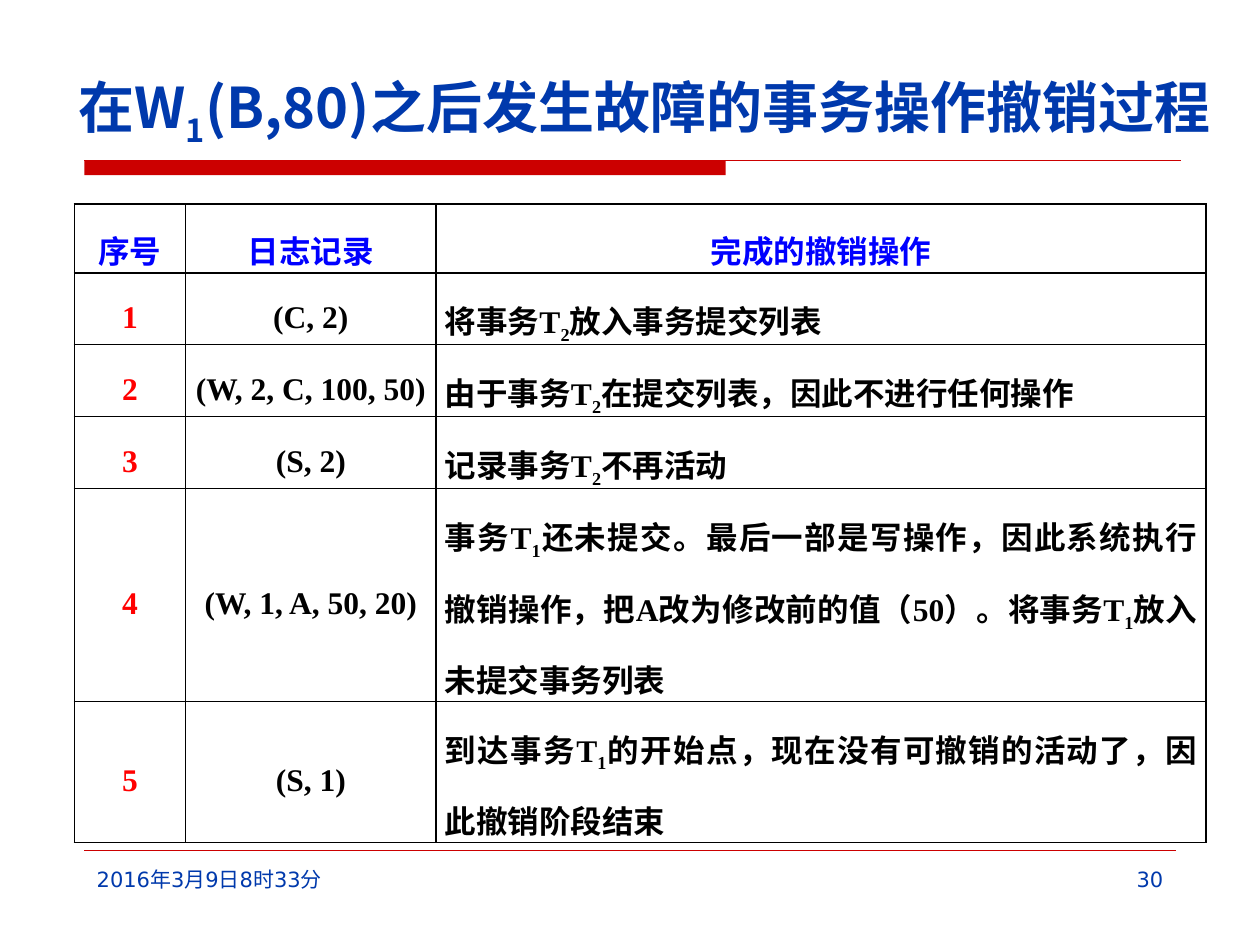
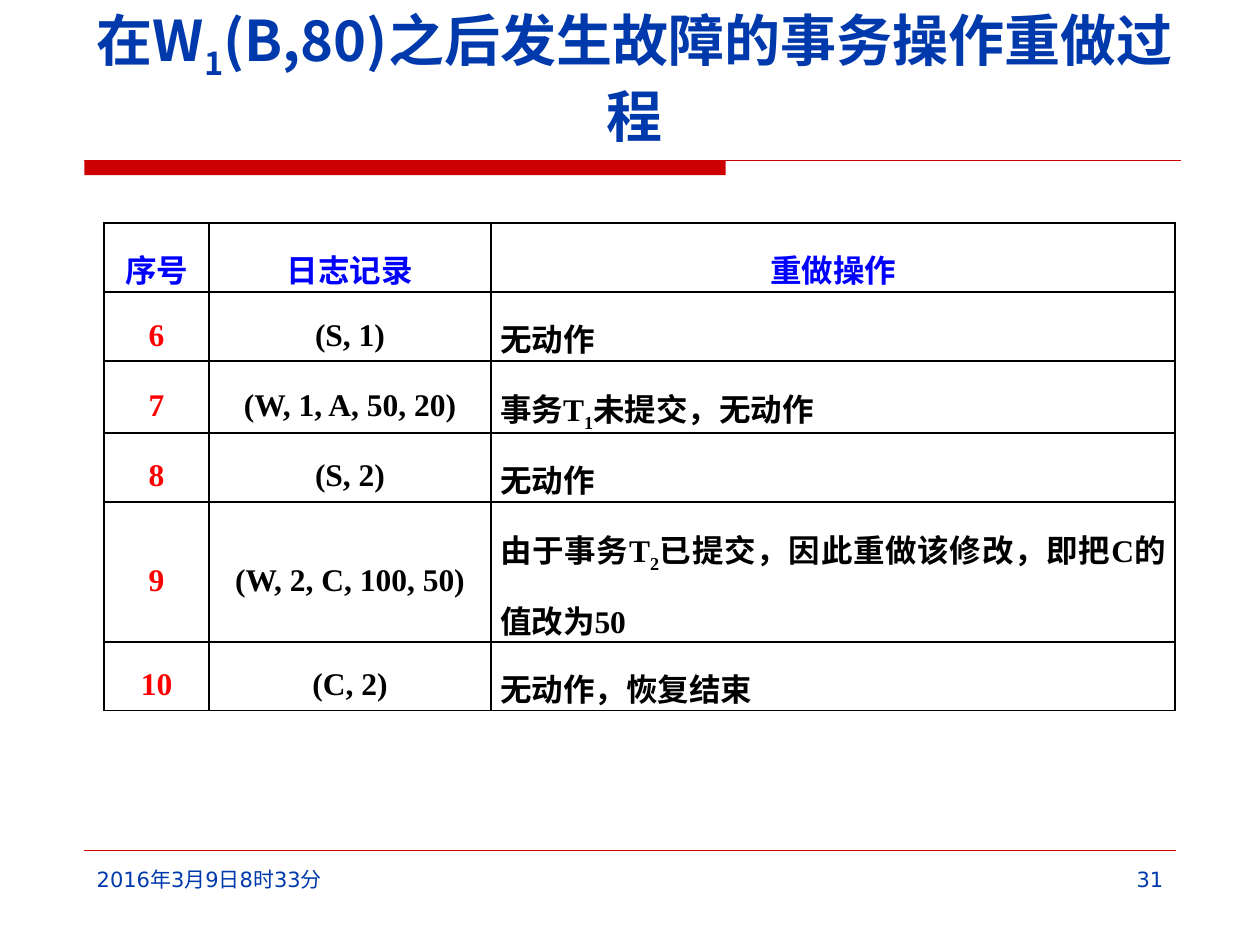
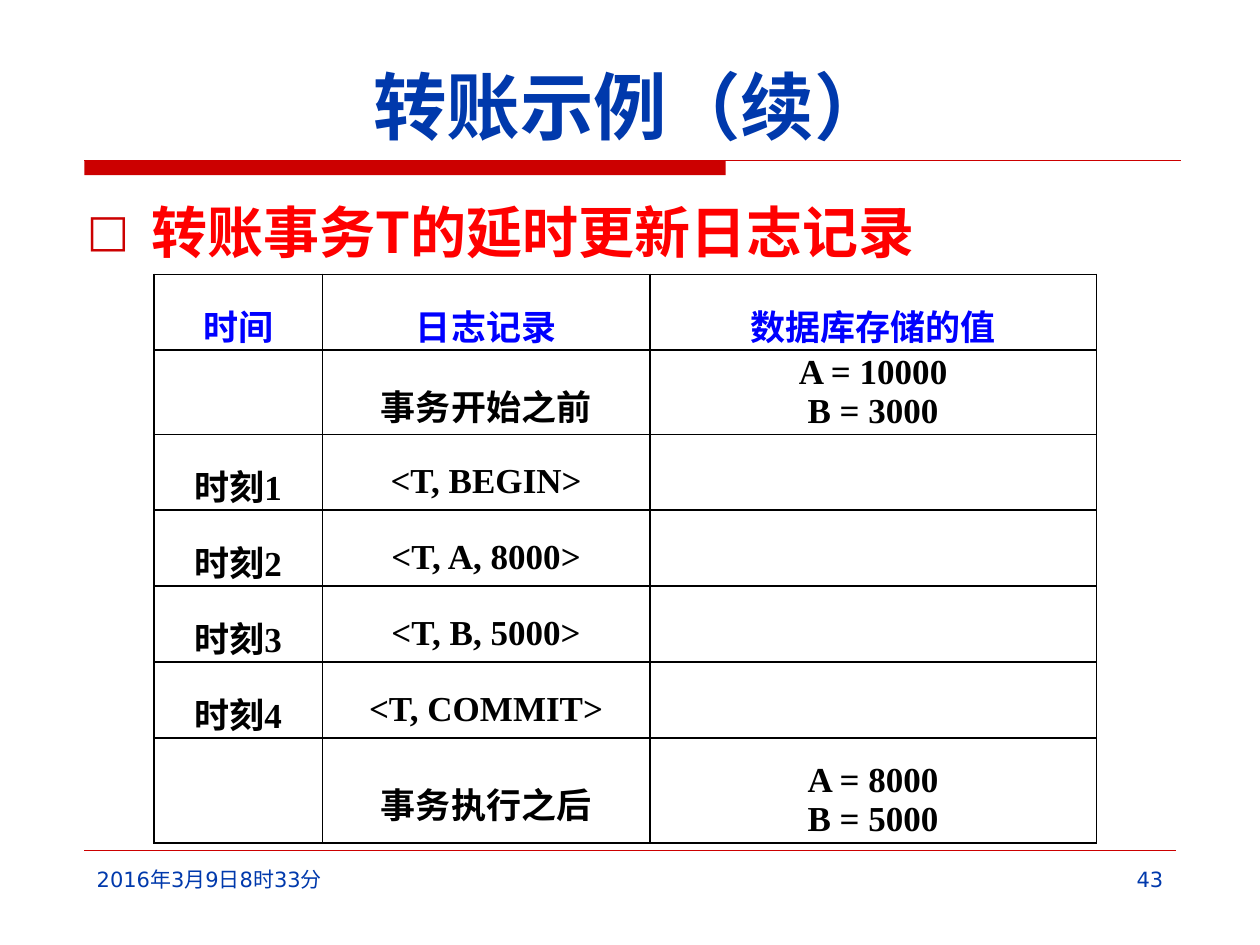
import collections
import dataclasses

import lxml.etree
import pptx
import pptx.dml.color
import pptx.enum.shapes
import pptx.enum.text
import pptx.oxml.ns
import pptx.util

Cm = pptx.util.Cm
Align = pptx.enum.text.PP_ALIGN
Anchor = pptx.enum.text.MSO_ANCHOR
Box = collections.namedtuple("Box", "left top width height")


@dataclasses.dataclass(frozen=True)
class Theme:
    """Colours, fonts and type sizes shared by all slides."""
    navy: str = "0039AC"
    crimson: str = "CC0000"
    red: str = "FF0000"
    blue: str = "0000FF"
    black: str = "000000"
    white: str = "FFFFFF"
    heading_face: str = "Noto Sans CJK SC"
    footer_face: str = "DejaVu Sans"
    table_face: str = "Times New Roman"
    heading_size: int = 32
    short_title_size: int = 42
    footer_size: int = 12
    log_size: int = 18
    transfer_size: int = 20


THEME = Theme()
HEADER_BAND = Box(1.7, 3.23, 22.1, 0.3)
FOOTER_BAND = Box(1.7, 17.14, 22, 1.53)
DATE_TEXT = "2016年3月9日8时33分"

UNDO_ROWS = [
    ("序号", "日志记录", "完成的撤销操作"),
    ("1", "(C, 2)", "将事务T_2放入事务提交列表"),
    ("2", "(W, 2, C, 100, 50)", "由于事务T_2在提交列表，因此不进行任何操作"),
    ("3", "(S, 2)", "记录事务T_2不再活动"),
    ("4", "(W, 1, A, 50, 20)",
     "事务T_1还未提交。最后一部是写操作，因此系统执行撤销操作，"
     "把A改为修改前的值（50）。将事务T_1放入未提交事务列表"),
    ("5", "(S, 1)", "到达事务T_1的开始点，现在没有可撤销的活动了，因此撤销阶段结束"),
]
REDO_ROWS = [
    ("序号", "日志记录", "重做操作"),
    ("6", "(S, 1)", "无动作"),
    ("7", "(W, 1, A, 50, 20)", "事务T_1未提交，无动作"),
    ("8", "(S, 2)", "无动作"),
    ("9", "(W, 2, C, 100, 50)", "由于事务T_2已提交，因此重做该修改，即把C的值改为50"),
    ("10", "(C, 2)", "无动作，恢复结束"),
]
TRANSFER_ROWS = [
    ("时间", "日志记录", "数据库存储的值"),
    ("", "事务开始之前", (("A = 10000", 1.0), ("B = 3000", 1.0))),
    ("时刻1", "<T, BEGIN>", ""),
    ("时刻2", "<T, A, 8000>", ""),
    ("时刻3", "<T, B, 5000>", ""),
    ("时刻4", "<T, COMMIT>", ""),
    ("", "事务执行之后", (("A = 8000", 1.5), ("B = 5000", 1.0))),
]


def rgb(colour):
    """Turn a hex string into a colour."""
    return pptx.dml.color.RGBColor.from_string(colour)


def assign(target, formats):
    """Set every attribute named in a dict of format values."""
    for attribute, value in formats.items():
        setattr(target, attribute, value)


def lengths(box):
    """Convert a box in centimetres to slide lengths."""
    return [Cm(value) for value in box]


def add_element(parent, tag, **attributes):
    """Append a drawing element to its parent."""
    return lxml.etree.SubElement(parent, pptx.oxml.ns.qn(tag), attributes)


def write_runs(paragraph, text, colour, font_formats):
    """Write text in which an underscore lowers the next character."""
    first, *marked = text.split("_")
    pieces = [(first, False)]
    for part in marked:
        pieces += [(part[0], True), (part[1:], False)]
    for piece, lowered in pieces:
        if not piece:
            continue
        run = paragraph.add_run()
        run.text = piece
        assign(run.font, font_formats)
        run.font.color.rgb = rgb(colour)
        properties = run.font._element
        add_element(properties, "a:ea", typeface=THEME.heading_face)
        if lowered:
            properties.set("baseline", "-25000")


def add_text(slide, box, text, colour, font_formats, align=Align.LEFT, anchor=Anchor.TOP):
    """Add a one-paragraph wrapped text box and return its paragraph."""
    frame = slide.shapes.add_textbox(*lengths(box)).text_frame
    assign(frame, {"word_wrap": True, "vertical_anchor": anchor})
    paragraph = frame.paragraphs[0]
    paragraph.alignment = align
    write_runs(paragraph, text, colour, font_formats)
    return paragraph


def add_rule(slide, box, weight):
    """Draw a horizontal rule along the top of a box."""
    left, top, width, _ = box
    rule = slide.shapes.add_connector(
        pptx.enum.shapes.MSO_CONNECTOR.STRAIGHT,
        *lengths((left, top, left + width, top)))
    rule.line.color.rgb = rgb(THEME.crimson)
    rule.line.width = pptx.util.Pt(weight)
    add_element(rule._element.spPr, "a:effectLst")


def draw_header(slide, band):
    """Draw the thick and thin rules below the title."""
    bar = slide.shapes.add_shape(
        pptx.enum.shapes.MSO_SHAPE.RECTANGLE,
        *lengths(band._replace(width=band.width * 0.585)))
    bar.shadow.inherit = False
    bar.fill.solid()
    bar.fill.fore_color.rgb = rgb(THEME.crimson)
    bar.line.fill.background()
    add_rule(slide, band, 0.75)


def draw_footer(slide, band, number):
    """Draw the footer rule, the date and the slide number."""
    add_rule(slide, band, 0.25)
    fonts = {"name": THEME.footer_face, "size": pptx.util.Pt(THEME.footer_size)}
    date_box = Box(band.left, band.top + 0.21, 5.6, band.height - 0.21)
    number_box = date_box._replace(left=band.left + band.width - 5.5, width=5.5)
    add_text(slide, date_box, DATE_TEXT, THEME.navy, fonts)
    add_text(slide, number_box, str(number), THEME.navy, fonts, Align.RIGHT)


def draw_title(slide, box, text, size):
    """Place a centred title on the bottom of its box."""
    fonts = {"name": THEME.heading_face, "size": pptx.util.Pt(size), "bold": True}
    add_text(slide, box, text, THEME.navy, fonts, Align.CENTER, Anchor.BOTTOM)


def draw_bullet(slide, box, text):
    """Place the bulleted topic line."""
    fonts = {"name": THEME.heading_face, "size": pptx.util.Pt(THEME.heading_size), "bold": True}
    paragraph = add_text(slide, box, text, THEME.red, fonts)
    paragraph.line_spacing = 1.1
    properties = paragraph._p.get_or_add_pPr()
    properties.set("marL", str(Cm(1.3)))
    properties.set("indent", str(-Cm(1.3)))
    bullet_colour = add_element(properties, "a:buClr")
    add_element(bullet_colour, "a:srgbClr", val=THEME.crimson)
    add_element(properties, "a:buSzPct", val="80000")
    add_element(properties, "a:buFont", typeface=THEME.footer_face)
    add_element(properties, "a:buChar", char="□")


def style_cell(cell, anchor):
    """Give a cell its margins, black borders and white fill."""
    assign(cell, {
        "margin_left": Cm(0.18), "margin_right": Cm(0.18),
        "margin_top": 0, "margin_bottom": 0, "vertical_anchor": anchor,
    })
    properties = cell._tc.get_or_add_tcPr()
    for side in ("a:lnL", "a:lnR", "a:lnT", "a:lnB"):
        border = add_element(properties, side, w=str(pptx.util.Pt(1)))
        paint = add_element(border, "a:solidFill")
        add_element(paint, "a:srgbClr", val=THEME.black)
    cell.fill.solid()
    cell.fill.fore_color.rgb = rgb(THEME.white)


def draw_table(slide, left, top, widths, heights, rows, size, key_colour, last_align):
    """Draw a log table with a blue header row and a coloured key column."""
    box = Box(left, top, sum(widths), sum(heights))
    table = slide.shapes.add_table(len(rows), len(widths), *lengths(box)).table
    assign(table, {"first_row": False, "horz_banding": False})
    for column, width in zip(table.columns, widths):
        column.width = Cm(width)
    for row, height in zip(table.rows, heights):
        row.height = Cm(height)
    fonts = {"name": THEME.table_face, "size": pptx.util.Pt(size), "bold": True}
    for r, record in enumerate(rows):
        for c, content in enumerate(record):
            cell = table.cell(r, c)
            style_cell(cell, Anchor.MIDDLE if r else Anchor.TOP)
            colour = THEME.blue if r == 0 else key_colour if c == 0 else THEME.black
            align = last_align if r and c == len(record) - 1 else Align.CENTER
            entries = ((content, 1.5),) if isinstance(content, str) else content
            for i, (text, spacing) in enumerate(entries):
                frame = cell.text_frame
                paragraph = frame.add_paragraph() if i else frame.paragraphs[0]
                if text:
                    assign(paragraph, {"alignment": align, "line_spacing": spacing})
                    write_runs(paragraph, text, colour, fonts)


def start_slide(deck, number, title_box, title, title_size):
    """Add a blank slide with its header, title and footer."""
    slide = deck.slides.add_slide(deck.slide_layouts[6])
    draw_header(slide, HEADER_BAND)
    draw_title(slide, title_box, title, title_size)
    draw_footer(slide, FOOTER_BAND, number)
    return slide


def build_recovery_slide(deck, number, title_width, title, **table):
    """Build a slide that lists recovery steps in a table."""
    slide = start_slide(deck, number, Box(1.3, 0.84, title_width, 2.29), title,
                        THEME.heading_size)
    draw_table(slide, size=THEME.log_size, key_colour=THEME.red,
               last_align=Align.JUSTIFY, **table)


def build_transfer_slide(deck):
    """Build the slide with the deferred-update log."""
    slide = start_slide(deck, 43, Box(1.6, 0.84, 22.22, 2.29), "转账示例（续）",
                        THEME.short_title_size)
    draw_bullet(slide, Box(1.5, 3.73, 22.22, 1.8), "转账事务T的延时更新日志记录")
    draw_table(slide, 3.1, 5.53, [3.4, 6.6, 9], [1.53, 1.57] + [1.53] * 4 + [1.95],
               TRANSFER_ROWS, THEME.transfer_size, THEME.black, Align.CENTER)


def main():
    """Build and save the deck."""
    deck = pptx.Presentation()
    assign(deck, {"slide_width": Cm(25.4), "slide_height": Cm(19.05)})
    build_recovery_slide(
        deck, 30, 23.4, "在W_1(B,80)之后发生故障的事务操作撤销过程",
        left=1.5, top=4.11, widths=[2.24, 5.05, 15.52],
        heights=[1.39, 1.45, 1.45, 1.45, 4.29, 2.84], rows=UNDO_ROWS)
    build_recovery_slide(
        deck, 31, 23, "在W_1(B,80)之后发生故障的事务操作重做过程",
        left=2.1, top=4.5, widths=[2.11, 5.69, 13.79],
        heights=[1.39, 1.39, 1.45, 1.39, 2.82, 1.39], rows=REDO_ROWS)
    build_transfer_slide(deck)
    deck.save("out.pptx")


if __name__ == "__main__":
    main()
